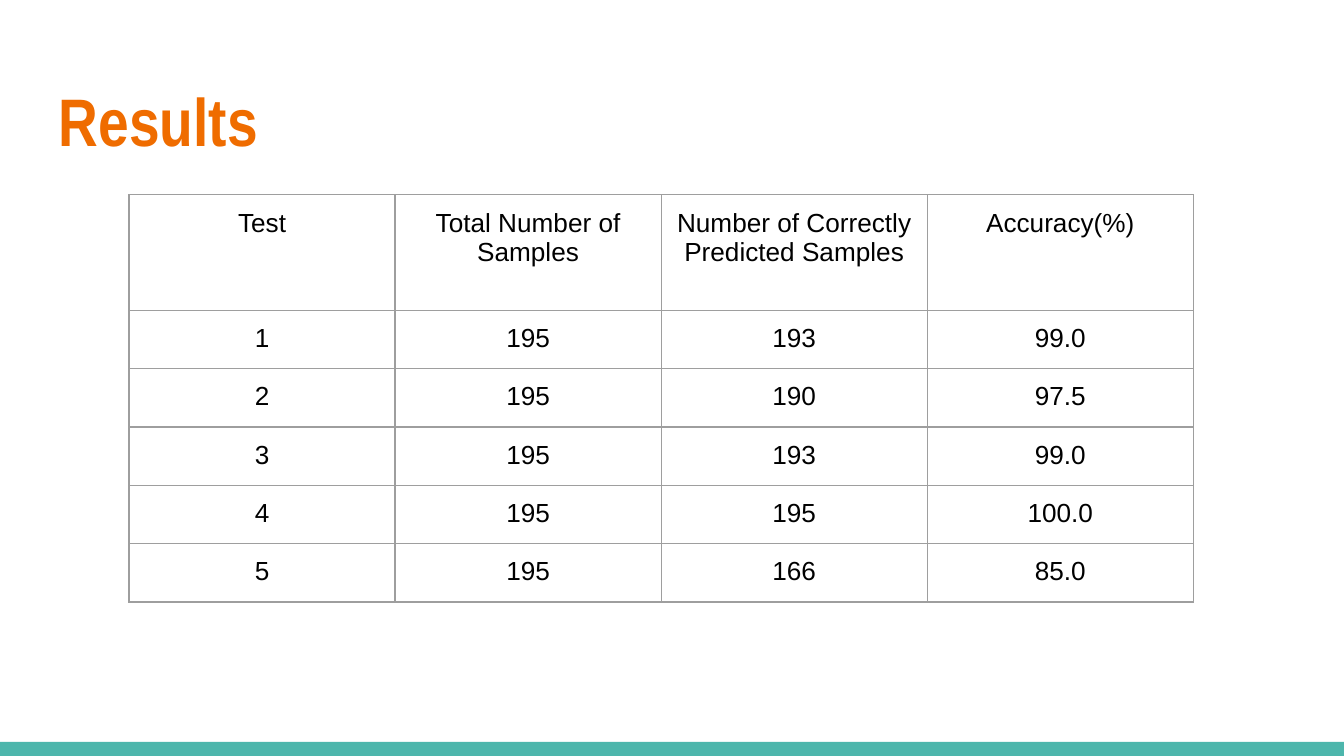
"""Build the test results slide with its accuracy table."""
import pptx
import pptx.dml.color
import pptx.enum.shapes
import pptx.enum.text
import pptx.oxml.ns
import pptx.util
from lxml import etree
from pptx.util import Inches

ORANGE = pptx.dml.color.RGBColor(0xEF, 0x6C, 0x00)
TEAL = pptx.dml.color.RGBColor(0x4D, 0xB6, 0xAC)
GRAY = pptx.dml.color.RGBColor(0x9E, 0x9E, 0x9E)
BLACK = pptx.dml.color.RGBColor(0x00, 0x00, 0x00)

HEADINGS = (
    "Test",
    "Total Number of Samples",
    "Number of Correctly Predicted Samples",
    "Accuracy(%)",
)
RESULTS = (
    ("1", "195", "193", "99.0"),
    ("2", "195", "190", "97.5"),
    ("3", "195", "193", "99.0"),
    ("4", "195", "195", "100.0"),
    ("5", "195", "166", "85.0"),
)
SLIDE_WIDTH = 10
COLUMN_WIDTH = 1.98
HEADING_HEIGHT = 0.86
RESULT_HEIGHT = 0.42


def set_margins(area):
    area.margin_left = area.margin_right = Inches(0.1)
    area.margin_top = area.margin_bottom = Inches(0.1)


def style_text(paragraph, typeface, size, color, bold=False):
    paragraph.line_spacing = 1.0
    paragraph.space_before = paragraph.space_after = pptx.util.Pt(0)
    for run in paragraph.runs:
        run.font.name = typeface
        run.font.size = pptx.util.Pt(size)
        run.font.color.rgb = color
        run.font.bold = bold
    end = etree.SubElement(
        paragraph._p, pptx.oxml.ns.qn("a:endParaRPr"), sz=str(size * 100)
    )
    etree.SubElement(end, pptx.oxml.ns.qn("a:latin"), typeface=typeface)


def add_footer_bar(slide):
    bar = slide.shapes.add_shape(
        pptx.enum.shapes.MSO_SHAPE.RECTANGLE,
        Inches(0), Inches(5.52), Inches(SLIDE_WIDTH), Inches(0.11),
    )
    bar.shadow.inherit = False
    bar.fill.solid()
    bar.fill.fore_color.rgb = TEAL
    bar.line.fill.background()


def add_title(slide, wording):
    title = slide.shapes.add_textbox(
        Inches(0.34), Inches(0.49), Inches(9.32), Inches(0.77)
    )
    frame = title.text_frame
    frame.word_wrap = True
    set_margins(frame)
    frame.text = wording
    style_text(frame.paragraphs[0], "Arial Narrow", 36, ORANGE, bold=True)


def add_borders(cell):
    properties = cell._tc.get_or_add_tcPr()
    qn = pptx.oxml.ns.qn
    for side in ("a:lnL", "a:lnR", "a:lnT", "a:lnB"):
        border = etree.SubElement(properties, qn(side), w=str(pptx.util.Pt(0.75)))
        fill = etree.SubElement(border, qn("a:solidFill"))
        etree.SubElement(fill, qn("a:srgbClr"), val=str(GRAY))


def fill_cell(cell, wording):
    set_margins(cell)
    cell.text = wording
    paragraph = cell.text_frame.paragraphs[0]
    paragraph.alignment = pptx.enum.text.PP_ALIGN.CENTER
    style_text(paragraph, "Arial", 14, BLACK)
    add_borders(cell)
    cell.fill.background()


def add_results_table(slide):
    rows = (HEADINGS, *RESULTS)
    table = slide.shapes.add_table(
        len(rows), len(HEADINGS), Inches(0.96), Inches(1.45),
        Inches(COLUMN_WIDTH * len(HEADINGS)),
        Inches(HEADING_HEIGHT + RESULT_HEIGHT * len(RESULTS)),
    ).table
    table.first_row = False
    table.horz_banding = False
    for column in table.columns:
        column.width = Inches(COLUMN_WIDTH)
    for row, wordings in zip(table.rows, rows):
        row.height = Inches(HEADING_HEIGHT if wordings is HEADINGS else RESULT_HEIGHT)
        for cell, wording in zip(row.cells, wordings):
            fill_cell(cell, wording)


def main():
    presentation = pptx.Presentation()
    presentation.slide_width = Inches(SLIDE_WIDTH)
    presentation.slide_height = Inches(SLIDE_WIDTH * 9 / 16)
    slide = presentation.slides.add_slide(presentation.slide_layouts[6])
    add_footer_bar(slide)
    add_title(slide, "Results")
    add_results_table(slide)
    presentation.save("out.pptx")


if __name__ == "__main__":
    main()
